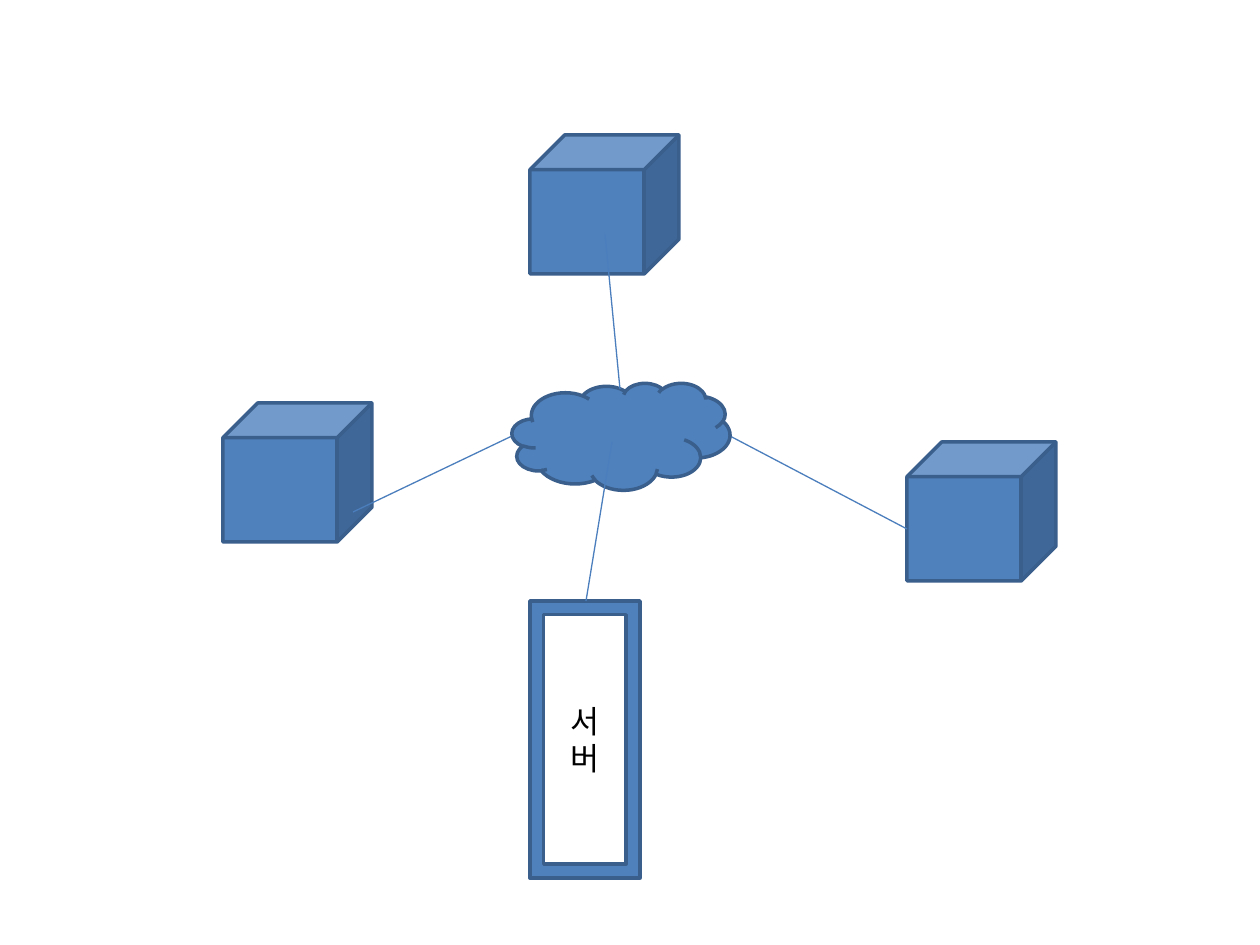
from lxml import etree
from pptx import Presentation
from pptx.dml.color import RGBColor
from pptx.enum.shapes import MSO_CONNECTOR, MSO_SHAPE
from pptx.enum.text import MSO_ANCHOR, PP_ALIGN
from pptx.oxml.ns import qn
from pptx.util import Pt

CUBE, CLOUD, FRAME = MSO_SHAPE.CUBE, MSO_SHAPE.CLOUD, MSO_SHAPE.FRAME
STRAIGHT = MSO_CONNECTOR.STRAIGHT
MIDDLE, CENTER = MSO_ANCHOR.MIDDLE, PP_ALIGN.CENTER
FONT = "Noto Sans CJK KR"
BLUE, EDGE, LINK, BLACK = "4F81BD", "3A5F8C", "4B7EBC", "000000"


def px(n):
    return round(n * 914400 / 126)


def paint(color, code):
    color.rgb = RGBColor.from_string(code)


def add_node(slide, kind, box):
    node = slide.shapes.add_shape(kind, *map(px, box))
    node.shadow.inherit = False
    node.fill.solid()
    paint(node.fill.fore_color, BLUE)
    paint(node.line.color, EDGE)
    node.line.width = Pt(2)
    return node


def add_link(slide, start, end):
    link = slide.shapes.add_connector(STRAIGHT, *map(px, start + end))
    paint(link.line.color, LINK)
    link.line.width = Pt(0.75)
    etree.SubElement(link._element.spPr, qn("a:effectLst"))


def add_server(slide, box, label):
    frame = add_node(slide, FRAME, box).text_frame
    frame.word_wrap = True
    frame.vertical_anchor = MIDDLE
    para = frame.paragraphs[0]
    para.alignment = CENTER
    run = para.add_run()
    run.text = label
    run.font.size = Pt(18)
    run.font.name = FONT
    paint(run.font.color, BLACK)
    # East Asian typeface
    etree.SubElement(run._r.get_or_add_rPr(), qn("a:ea"), typeface=FONT)


def add_network(slide, box):
    left, top, width, height = box
    mid = top + height // 2

    # Client cubes
    for x, y in ((18, -248), (395, 59), (-289, 20)):
        add_node(slide, CUBE, (left + x, top + y, 149, 139))

    # Server
    add_server(slide, (left + 18, top + 218, 110, 277), "서버")

    # Side links lie behind the cloud
    add_link(slide, (left - 159, mid + 76), (left, mid))
    add_link(slide, (left + 395, mid + 93), (left + width, mid))

    # Cloud
    add_node(slide, CLOUD, box)

    # Upper and lower links lie in front
    add_link(slide, (left + 108, top + 6), (left + 93, top - 149))
    add_link(slide, (left + 74, top + 218), (left + 100, top + 59))


def main():
    deck = Presentation()
    deck.slide_width, deck.slide_height = px(1260), px(945)
    slide = deck.slides.add_slide(deck.slide_layouts[6])
    add_network(slide, (512, 383, 218, 107))
    deck.save("out.pptx")


if __name__ == "__main__":
    main()
